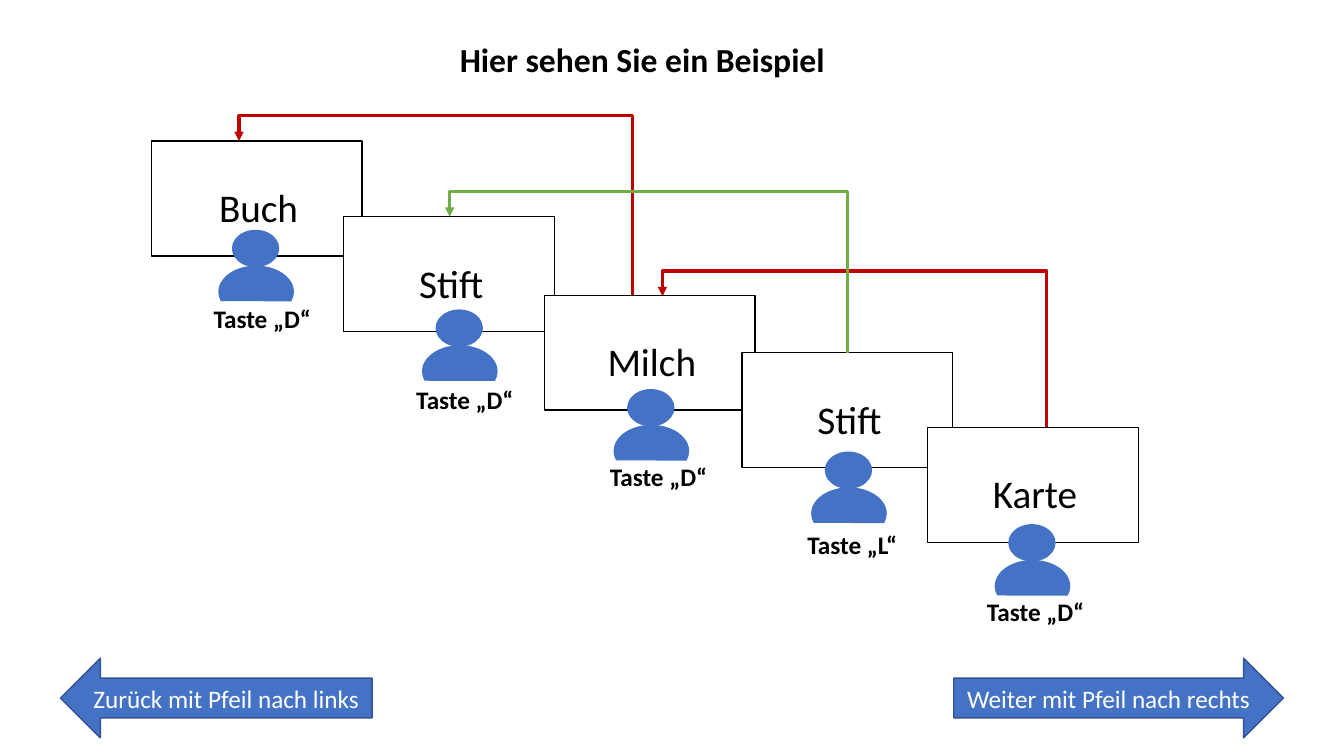
from dataclasses import dataclass

from lxml.etree import SubElement
from pptx import Presentation
from pptx.dml.color import RGBColor
from pptx.enum.shapes import MSO_CONNECTOR, MSO_SHAPE
from pptx.enum.text import MSO_ANCHOR, MSO_AUTO_SIZE, PP_ALIGN
from pptx.oxml.ns import qn
from pptx.util import Inches, Pt


@dataclass(frozen=True)
class Theme:
    font: str = "Calibri"
    ink: RGBColor = RGBColor(0x00, 0x00, 0x00)
    paper: RGBColor = RGBColor(0xFF, 0xFF, 0xFF)
    blue: RGBColor = RGBColor(0x44, 0x72, 0xC4)
    blue_edge: RGBColor = RGBColor(0x32, 0x54, 0x91)
    red: RGBColor = RGBColor(0xC0, 0x00, 0x00)
    green: RGBColor = RGBColor(0x70, 0xAD, 0x47)
    title_size: Pt = Pt(24)
    word_size: Pt = Pt(28)
    label_size: Pt = Pt(18)
    edge: Pt = Pt(1)
    link: Pt = Pt(2.25)


theme = Theme()
prs = Presentation()
prs.slide_width, prs.slide_height = Inches(13.33), Inches(7.5)
slide = prs.slides.add_slide(prs.slide_layouts[5])
shapes = slide.shapes


def write(shape, text, size, color=theme.ink, bold=False, align=PP_ALIGN.LEFT,
          anchor=MSO_ANCHOR.TOP, wrap=True):
    frame = shape.text_frame
    frame.word_wrap, frame.auto_size = wrap, MSO_AUTO_SIZE.NONE
    frame.vertical_anchor = anchor
    paragraph = frame.paragraphs[0]
    paragraph.alignment = align
    run = paragraph.add_run()
    run.text = text
    run.font.name, run.font.size, run.font.bold = theme.font, size, bold
    run.font.color.rgb = color


def add_filled(preset, left, top, width, height, fill, edge=None):
    shape = shapes.add_shape(preset, Inches(left), Inches(top), Inches(width), Inches(height))
    shape.shadow.inherit = False
    shape.fill.solid()
    shape.fill.fore_color.rgb = fill
    if edge is None:
        shape.line.fill.background()
    else:
        shape.line.color.rgb, shape.line.width = edge, theme.edge
    return shape


title = shapes.title
title.left, title.top, title.width, title.height = map(Inches, (4.46, 0.34, 3.86, 0.5))
write(title, "Hier sehen Sie ein Beispiel", theme.title_size, bold=True, wrap=False)

# Word, card corner, head corner, key, key label corner
trials = [
    ("Buch", (1.5, 1.4), (2.3, 2.28), "D", (2.02, 2.96)),
    ("Stift", (3.41, 2.15), (4.32, 3.07), "D", (4.03, 3.76)),
    ("Milch", (5.4, 2.93), (6.22, 3.86), "D", (5.95, 4.53)),
    ("Stift", (7.36, 3.5), (8.18, 4.48), "L", (7.91, 5.2)),
    ("Karte", (9.2, 4.24), (10, 5.2), "D", (9.69, 5.87)),
]
# Start, end, colour; the first link lies behind the cards
links = [
    ((10.38, 4.61), (6.57, 2.94), theme.red),
    ((6.27, 2.93), (2.37, 1.4), theme.red),
    ((8.41, 3.5), (4.46, 2.15), theme.green),
]
link_rise = 0.25

for number, ((start_x, start_y), (end_x, end_y), color) in enumerate(links):
    if number == 1:
        for word, (card_x, card_y), (head_x, head_y), key, (label_x, label_y) in trials:
            add_filled(MSO_SHAPE.RECTANGLE, card_x, card_y, 2.09, 1.14, theme.paper, theme.ink)
            word_box = shapes.add_textbox(Inches(card_x + 0.48), Inches(card_y + 0.37),
                                          Inches(1.17), Inches(0.4))
            write(word_box, word, theme.word_size, align=PP_ALIGN.CENTER)

            add_filled(MSO_SHAPE.OVAL, head_x, head_y, 0.47, 0.37, theme.blue)
            body = add_filled(MSO_SHAPE.CHORD, head_x - 0.02, head_y + 0.24, 0.52, 0.75, theme.blue)
            body.rotation = 90
            body.adjustments[0], body.adjustments[1] = 45.13, 171.09

            key_label = shapes.add_textbox(Inches(label_x), Inches(label_y),
                                           Inches(1.23), Inches(0.4))
            write(key_label, f"Taste „{key}“", theme.label_size, bold=True, wrap=False)

    # The elbow is laid out sideways, then turned about its centre to leave upwards
    span, climb = start_x - end_x, start_y - end_y
    center_x, center_y = (start_x + end_x) / 2, (start_y + end_y) / 2
    link = shapes.add_connector(
        MSO_CONNECTOR.ELBOW,
        Inches(center_x - climb / 2), Inches(center_y + span / 2),
        Inches(center_x + climb / 2), Inches(center_y - span / 2))
    link.line.color.rgb, link.line.width = color, theme.link
    properties = link._element.spPr
    properties.find(qn("a:xfrm")).set("rot", str(270 * 60000))
    bend = properties.find(qn("a:prstGeom")).get_or_add_avLst()
    SubElement(bend, qn("a:gd"), name="adj1",
               fmla=f"val {round((1 + link_rise / climb) * 100000)}")
    SubElement(properties.find(qn("a:ln")), qn("a:tailEnd"), type="triangle")
    SubElement(properties, qn("a:effectLst"))

for preset, left, width, hint in [
    (MSO_SHAPE.RIGHT_ARROW, 9.46, 3.27, "Weiter mit Pfeil nach rechts"),
    (MSO_SHAPE.LEFT_ARROW, 0.6, 3.09, "Zurück mit Pfeil nach links"),
]:
    arrow = add_filled(preset, left, 6.53, width, 0.79, theme.blue, theme.blue_edge)
    write(arrow, hint, theme.label_size, theme.paper,
          align=PP_ALIGN.CENTER, anchor=MSO_ANCHOR.MIDDLE)

prs.save("out.pptx")
